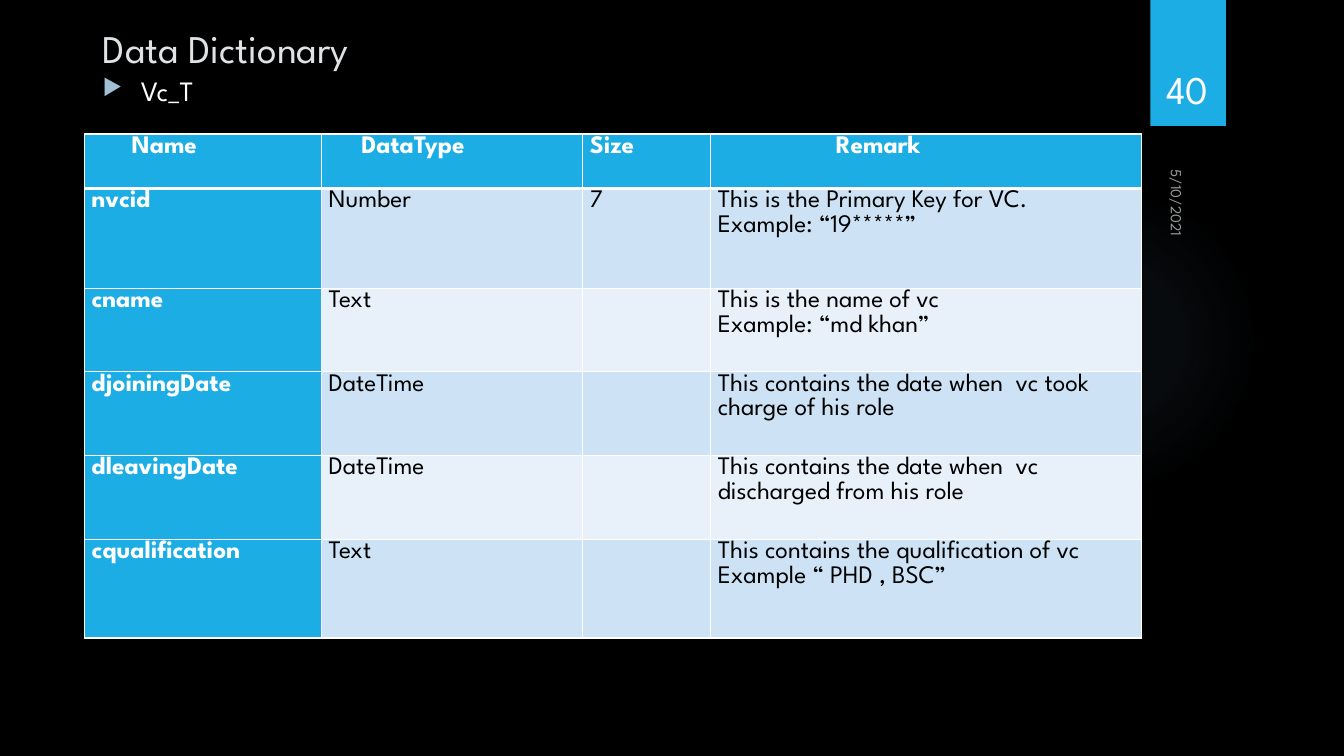
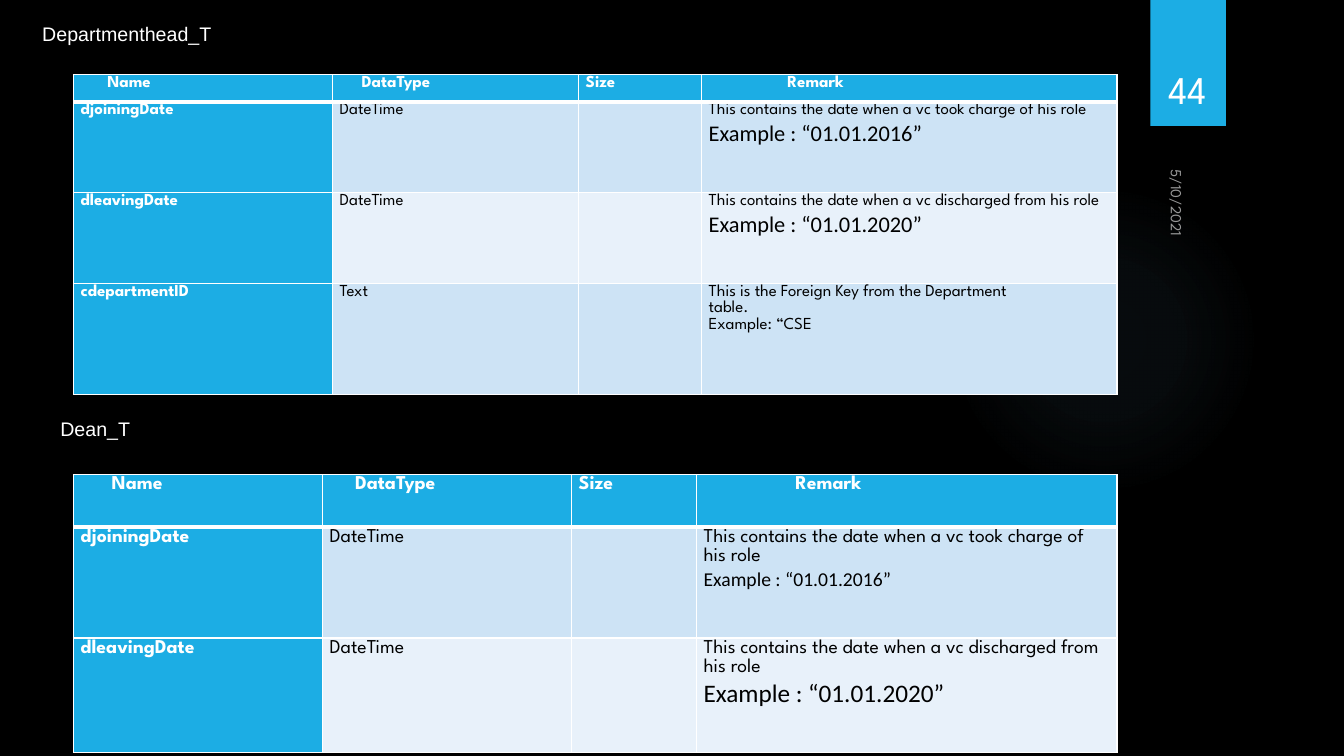
"""Build two data dictionary slides with shared decoration and field tables."""
from dataclasses import dataclass
from typing import Any, NamedTuple

from lxml.etree import SubElement
from pptx import Presentation
from pptx.dml.color import RGBColor
from pptx.enum.shapes import MSO_SHAPE
from pptx.enum.text import MSO_ANCHOR, MSO_AUTO_SIZE, PP_ALIGN
from pptx.oxml.ns import qn
from pptx.util import Inches, Pt

GRID_STEP = Inches(0.01)
SLIDE_COLUMNS, SLIDE_ROWS = 1333, 750
TITLE_ONLY, BLANK = 5, 6
BLACK, WHITE, GREY = "000000", "FFFFFF", "999999"
ACCENT, TITLE_COLOR = "1CADE4", "DFE3E5"
BULLET_COLOR, GLOW = "A0C1D5", "70A1C0"
BANDS = ("CDE3F5", "E8F1FA")
FONT = "League Spartan"
HEADINGS = ("Name", "DataType", "Size", "Remark")
HEADING_INDENTS = (0.022, 0.018, 0, 0.065)
GLOW_STOPS = ((0, 7), (36, 6), (69, 0))


class Area(NamedTuple):
    """Left, top, width and height in grid steps."""

    left: int
    top: int
    width: int
    height: int

    def lengths(self) -> list[int]:
        return [steps * GRID_STEP for steps in self]


class Example(NamedTuple):
    """A remark line set in its own font and size."""

    text: str
    size: int


class Field(NamedTuple):
    """One table row: name, data type, size and remark lines."""

    name: str
    data_type: str
    size: str
    remarks: tuple[str | Example, ...]


@dataclass(frozen=True)
class FieldTable:
    """A dictionary table with its grid and fields."""

    left: int
    top: int
    columns: tuple[int, ...]
    rows: tuple[int, ...]
    text_size: int
    fields: tuple[Field, ...]


def color(value: str) -> RGBColor:
    return RGBColor.from_string(value)


def write(paragraph: Any, text: str, *, size: float, fill: str = WHITE,
          font: str = FONT, bold: bool = False, align: PP_ALIGN = PP_ALIGN.LEFT) -> None:
    run = paragraph.add_run()
    run.text = text
    run.font.size = Pt(size)
    run.font.name = font
    run.font.bold = bold
    run.font.color.rgb = color(fill)
    paragraph.alignment = align


def add_text(slide: Any, area: Area, text: str, *, wrap: bool = True,
             anchor: MSO_ANCHOR = MSO_ANCHOR.TOP, rotation: int = 0, **style: Any) -> Any:
    shape = slide.shapes.add_textbox(*area.lengths())
    shape.rotation = rotation
    shape.text_frame.word_wrap = wrap
    shape.text_frame.vertical_anchor = anchor
    write(shape.text_frame.paragraphs[0], text, **style)
    return shape


def add_plain_shape(slide: Any, kind: MSO_SHAPE, area: Area) -> Any:
    shape = slide.shapes.add_shape(kind, *area.lengths())
    shape.shadow.inherit = False
    shape.line.fill.background()
    return shape


def add_glow(slide: Any) -> None:
    ellipse = add_plain_shape(slide, MSO_SHAPE.OVAL, Area(941, 183, 308, 308))
    ellipse.fill.gradient()
    gradient = ellipse.element.spPr.find(qn("a:gradFill"))
    for child in list(gradient):
        gradient.remove(child)
    stops = SubElement(gradient, qn("a:gsLst"))
    for position, opacity in GLOW_STOPS:
        stop = SubElement(stops, qn("a:gs"), pos=str(position * 1000))
        tint = SubElement(stop, qn("a:srgbClr"), val=GLOW)
        SubElement(tint, qn("a:alpha"), val=str(opacity * 1000))
    circle = SubElement(gradient, qn("a:path"), path="circle")
    SubElement(circle, qn("a:fillToRect"), l="50000", t="50000", r="50000", b="50000")


def add_slide(presentation: Any, layout: int, number: int) -> Any:
    slide = presentation.slides.add_slide(presentation.slide_layouts[layout])
    add_glow(slide)
    tab = add_plain_shape(slide, MSO_SHAPE.RECTANGLE, Area(1141, 0, 75, 125))
    tab.fill.solid()
    tab.fill.fore_color.rgb = color(ACCENT)
    add_text(slide, Area(1111, 196, 108, 33), "5/10/2021", size=11, fill=GREY, rotation=90)
    add_text(slide, Area(1132, 32, 92, 84), str(number), size=28,
             anchor=MSO_ANCHOR.BOTTOM, align=PP_ALIGN.CENTER)
    return slide


def set_title(slide: Any, text: str) -> None:
    title = slide.shapes.title
    title.left, title.top, title.width, title.height = Area(92, 6, 930, 81).lengths()
    frame = title.text_frame
    frame.auto_size = MSO_AUTO_SIZE.NONE
    frame.vertical_anchor = MSO_ANCHOR.TOP
    frame.margin_top = Inches(0.18)
    write(frame.paragraphs[0], text, size=28, fill=TITLE_COLOR)


def add_bullet(slide: Any, text: str) -> None:
    frame = add_text(slide, Area(92, 73, 930, 59), text, size=20).text_frame
    frame.margin_top = 0
    paragraph = frame.paragraphs[0]
    paragraph.space_before = Pt(10)
    properties = paragraph._p.get_or_add_pPr()
    indent = Inches(0.38)
    properties.set("marL", str(indent))
    properties.set("indent", str(-indent))
    bullet_color = SubElement(properties, qn("a:buClr"))
    SubElement(bullet_color, qn("a:srgbClr"), val=BULLET_COLOR)
    SubElement(properties, qn("a:buSzPct"), val="80000")
    SubElement(properties, qn("a:buChar"), char="▶")


def set_borders(cell: Any, top: int, bottom: int) -> None:
    properties = cell._tc.get_or_add_tcPr()
    widths = {"a:lnL": 1, "a:lnR": 1, "a:lnT": top, "a:lnB": bottom}
    for position, (side, width) in enumerate(widths.items()):
        line = SubElement(properties, qn(side), w=str(Pt(width)))
        fill = SubElement(line, qn("a:solidFill"))
        SubElement(fill, qn("a:srgbClr"), val=WHITE)
        properties.insert(position, line)


def fill_cell(cell: Any, lines: tuple[str | Example, ...], *, background: str,
              size: int, fill: str, bold: bool, indent: float = 0) -> None:
    cell.fill.solid()
    cell.fill.fore_color.rgb = color(background)
    cell.margin_left = cell.margin_right = Inches(0.07)
    cell.margin_top = cell.margin_bottom = 0
    frame = cell.text_frame
    for index, line in enumerate(lines):
        paragraph = frame.add_paragraph() if index else frame.paragraphs[0]
        paragraph.line_spacing = 1.07
        if indent:
            paragraph._p.get_or_add_pPr().set("marL", str(Inches(indent)))
        if isinstance(line, Example):
            write(paragraph, line.text, size=line.size, fill=fill, font="Calibri")
        elif line:
            write(paragraph, line, size=size, fill=fill, bold=bold)


def add_field_table(slide: Any, spec_table: FieldTable) -> None:
    area = Area(spec_table.left, spec_table.top, sum(spec_table.columns), sum(spec_table.rows))
    table = slide.shapes.add_table(len(spec_table.rows), len(HEADINGS), *area.lengths()).table
    table.horz_banding = False
    for column, width in zip(table.columns, spec_table.columns):
        column.width = width * GRID_STEP
    for row, height in zip(table.rows, spec_table.rows):
        row.height = height * GRID_STEP
    size = spec_table.text_size
    for index, (heading, indent) in enumerate(zip(HEADINGS, HEADING_INDENTS)):
        cell = table.cell(0, index)
        fill_cell(cell, (heading,), background=ACCENT, size=size, fill=WHITE,
                  bold=True, indent=indent * size)
        set_borders(cell, 1, 3)
    for row_index, field in enumerate(spec_table.fields, 1):
        contents = ((field.name,), (field.data_type,), (field.size,), field.remarks)
        band = BANDS[(row_index - 1) % len(BANDS)]
        for index, lines in enumerate(contents):
            is_name = index == 0
            cell = table.cell(row_index, index)
            fill_cell(cell, lines, background=ACCENT if is_name else band, size=size,
                      fill=WHITE if is_name else BLACK, bold=is_name)
            set_borders(cell, 3 if row_index == 1 else 1, 1)


def date_fields(first_size: int, second_size: int) -> tuple[Field, ...]:
    return tuple(
        Field(name, "DateTime", "", (f"This contains the date when a vc {event} his role",
                                     Example(f"Example : “01.01.{year}”", size)))
        for name, event, year, size in (
            ("djoiningDate", "took charge of", 2016, first_size),
            ("dleavingDate", "discharged from", 2020, second_size),
        )
    )


VC_TABLE = FieldTable(84, 133, (235, 259, 127, 427), (54, 99, 83, 83, 83, 98), 18, (
    Field("nvcid", "Number", "7", ("This is the Primary Key for VC.", "Example: “19*****”")),
    Field("cname", "Text", "", ("This is the name of vc", "Example: “md khan”")),
    Field("djoiningDate", "DateTime", "",
          ("This contains the date when  vc took charge of his role",)),
    Field("dleavingDate", "DateTime", "",
          ("This contains the date when  vc discharged from his role",)),
    Field("cqualification", "Text", "",
          ("This contains the qualification of vc", "Example “ PHD , BSC”")),
))
HEAD_TABLE = FieldTable(73, 74, (257, 244, 122, 412), (27, 90, 90, 110), 12, (
    *date_fields(16, 16),
    Field("cdepartmentID", "Text", "",
          ("This is the Foreign Key from the Department", "table.", "Example: “CSE")),
))
DEAN_TABLE = FieldTable(73, 471, (247, 247, 124, 417), (52, 110, 114), 14, date_fields(14, 18))


def main() -> None:
    presentation = Presentation()
    presentation.slide_width = SLIDE_COLUMNS * GRID_STEP
    presentation.slide_height = SLIDE_ROWS * GRID_STEP
    background = presentation.slide_master.background.fill
    background.solid()
    background.fore_color.rgb = color(BLACK)

    vc_slide = add_slide(presentation, TITLE_ONLY, 40)
    set_title(vc_slide, "Data Dictionary")
    add_bullet(vc_slide, "Vc_T")
    add_field_table(vc_slide, VC_TABLE)

    head_slide = add_slide(presentation, BLANK, 44)
    add_text(head_slide, Area(32, 16, 189, 34), "Departmenthead_T", size=14,
             font="Arial", wrap=False, anchor=MSO_ANCHOR.MIDDLE)
    add_field_table(head_slide, HEAD_TABLE)
    add_text(head_slide, Area(50, 409, 90, 34), "Dean_T", size=14, font="Arial", wrap=False)
    add_field_table(head_slide, DEAN_TABLE)
    presentation.save("out.pptx")


if __name__ == "__main__":
    main()
